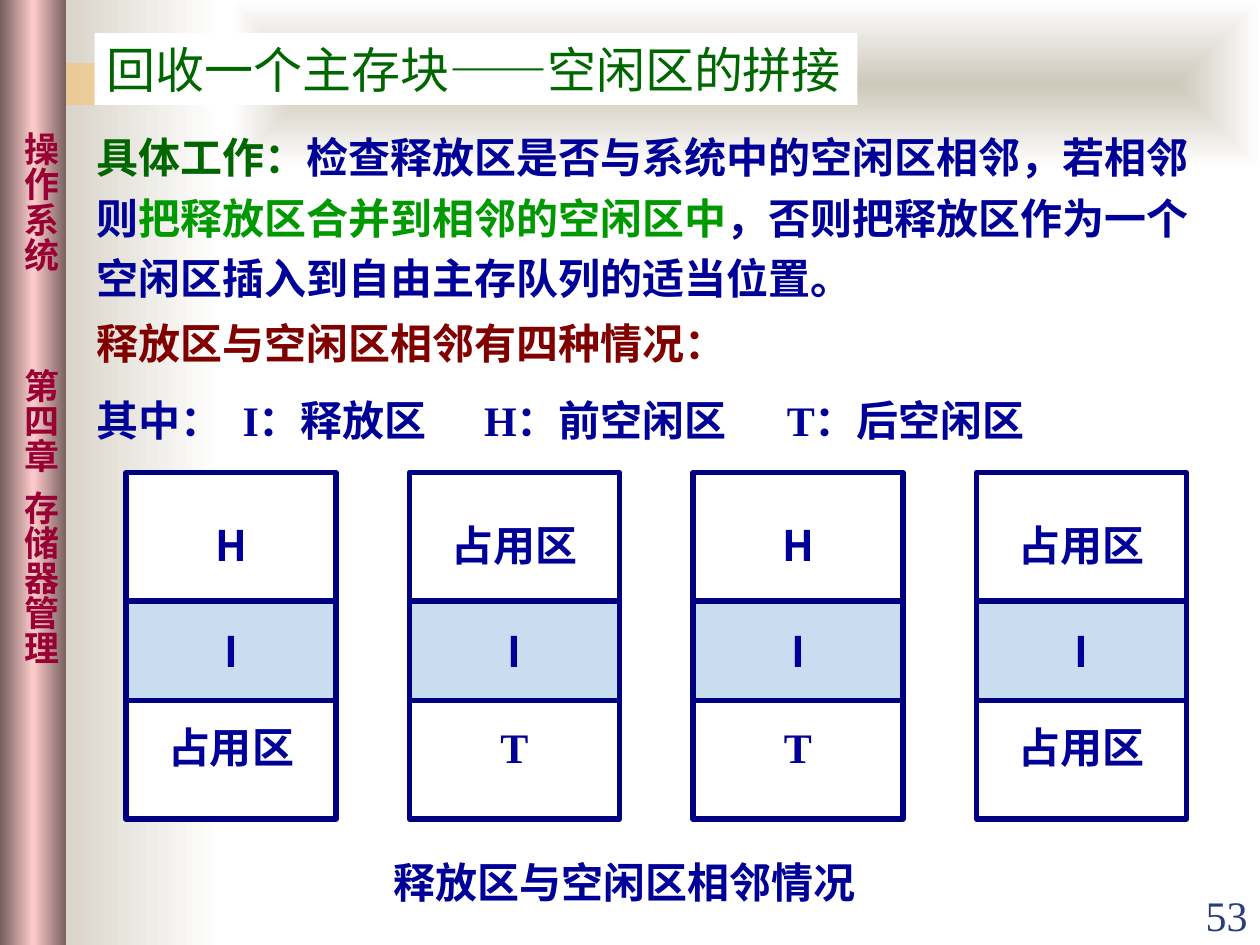
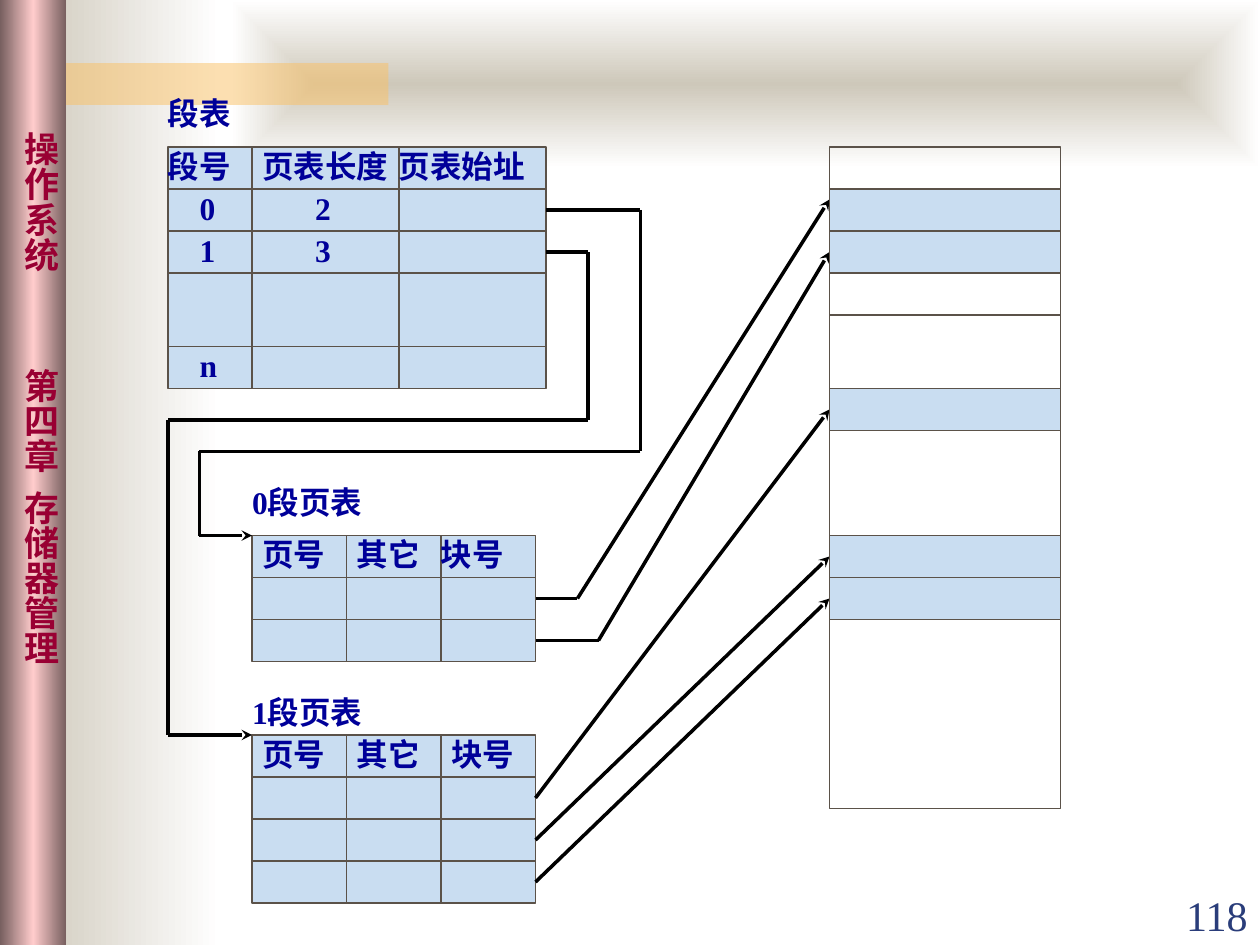
import pptx
import pptx.util
import pptx.oxml
import pptx.dml.color
import pptx.enum.shapes
import pptx.enum.text
from pptx.oxml.ns import nsdecls, qn
from lxml import etree

Pt = pptx.util.Pt
ALIGN = pptx.enum.text.PP_ALIGN
ANCHOR = pptx.enum.text.MSO_ANCHOR
SERIF = "Times New Roman"
SANS = "Noto Sans CJK SC"
COLORS = {
    "white": "FFFFFF", "stone": "CEC8BA", "amber": "FAC164", "mauve": "765E5E",
    "pink": "FFCCCC", "crimson": "990033", "number": "2A3D7A", "heading": "006600",
    "ink": "000099", "green": "009900", "maroon": "800000", "frame": "000080",
    "cell": "C9DDF1", "rule": "5B5249", "black": "000000",
}


def rgb(name):
    return pptx.dml.color.RGBColor.from_string(COLORS[name])


class Deck:
    def __init__(self):
        self.presentation = pptx.Presentation()
        self.presentation.slide_width = Pt(720)
        self.presentation.slide_height = Pt(540)
        self.slide = None

    def new_slide(self, number):
        self.slide = self.presentation.slides.add_slide(self.presentation.slide_layouts[6])
        self.gradient(12, 0, 114, 540, ["stone", "white"])
        self.gradient(132, 0, 588, 96, ["stone", "white"], radial=True)
        bar = self.rectangle(24, 36, 198, 24, "amber")
        color = bar.fill._xPr.find(qn("a:solidFill"))[0]
        etree.SubElement(color, qn("a:alpha"), val="50000")
        self.gradient(0, 0, 38, 540, ["mauve", "pink", "mauve"])
        for top, label in ((75.5, "操作系统"), (210.5, "第四章"), (280.5, "存储器管理")):
            self.text(4, top, 38, 20 * len(label) + 10, [(label, "crimson")], size=20,
                      font=SANS, bold=True, inset=0, anchor=ANCHOR.MIDDLE, vertical=True)
        self.text(648, 504.7, 72, 36, [(number, "number")], align=ALIGN.RIGHT,
                  anchor=ANCHOR.BOTTOM, bold=False)

    def rectangle(self, left, top, width, height, fill=None, line=None, weight=0.75):
        shape = self.slide.shapes.add_shape(
            pptx.enum.shapes.MSO_SHAPE.RECTANGLE, Pt(left), Pt(top), Pt(width), Pt(height))
        shape.shadow.inherit = False
        if fill:
            shape.fill.solid()
            shape.fill.fore_color.rgb = rgb(fill)
        else:
            shape.fill.background()
        if line:
            shape.line.color.rgb = rgb(line)
            shape.line.width = Pt(weight)
        else:
            shape.line.fill.background()
        return shape

    def gradient(self, left, top, width, height, colors, radial=False):
        shape = self.rectangle(left, top, width, height)
        step = 100000 // (len(colors) - 1)
        stops = "".join(f'<a:gs pos="{i * step}"><a:srgbClr val="{COLORS[color]}"/></a:gs>'
                        for i, color in enumerate(colors))
        direction = '<a:lin ang="0" scaled="1"/>'
        if radial:
            direction = ('<a:path path="shape"><a:fillToRect l="50000" t="50000" '
                         'r="50000" b="50000"/></a:path>')
        properties = shape._element.spPr
        properties.replace(properties.find(qn("a:noFill")), pptx.oxml.parse_xml(
            f'<a:gradFill {nsdecls("a")} rotWithShape="1"><a:gsLst>{stops}</a:gsLst>'
            f'{direction}</a:gradFill>'))

    def add_run(self, paragraph, text, color, size=24, font=SERIF, bold=True):
        run = paragraph.add_run()
        run.text = text
        run.font.size = Pt(size)
        run.font.name = font
        run.font.bold = bold
        run.font.color.rgb = rgb(color)
        etree.SubElement(run._r.get_or_add_rPr(), qn("a:ea"), typeface=SANS)

    def text(self, left, top, width, height, runs, size=24, font=SERIF, bold=True,
             align=ALIGN.LEFT, anchor=ANCHOR.TOP, inset=None, spacing=None,
             tabs=(), vertical=False):
        box = self.slide.shapes.add_textbox(Pt(left), Pt(top), Pt(width), Pt(height))
        frame = box.text_frame
        frame.word_wrap = True
        frame.vertical_anchor = anchor
        if inset is not None:
            frame.margin_left = frame.margin_right = Pt(inset)
            frame.margin_top = frame.margin_bottom = Pt(inset)
        if vertical:
            frame._txBody.bodyPr.set("vert", "eaVert")
        paragraph = frame.paragraphs[0]
        paragraph.alignment = align
        if spacing:
            paragraph.line_spacing = spacing
        if tabs:
            stops = etree.SubElement(paragraph._p.get_or_add_pPr(), qn("a:tabLst"))
            for position in tabs:
                etree.SubElement(stops, qn("a:tab"), pos=str(Pt(position)), algn="l")
        for content, color in runs:
            self.add_run(paragraph, content, color, size, font, bold)
        return box

    def label(self, left, top, width, content):
        self.text(left, top, width, 22, [(content, "ink")], size=18, inset=0)

    def block(self, left, top, height, fill, labels, gap=0):
        shape = self.rectangle(left, top, 120, height, fill, "frame", 3)
        frame = shape.text_frame
        frame.word_wrap = False
        frame.vertical_anchor = ANCHOR.MIDDLE
        for index, content in enumerate(labels):
            paragraph = frame.add_paragraph() if index else frame.paragraphs[0]
            paragraph.alignment = ALIGN.CENTER
            if index:
                paragraph.space_before = Pt(gap)
            self.add_run(paragraph, content, "ink", font=SANS if content in "HI" else SERIF)

    def line(self, start, end, color="rule", weight=0.75, arrow=False):
        connector = self.slide.shapes.add_connector(
            pptx.enum.shapes.MSO_CONNECTOR.STRAIGHT, *(Pt(value) for value in start + end))
        connector.line.color.rgb = rgb(color)
        connector.line.width = Pt(weight)
        if arrow:
            etree.SubElement(connector.line._get_or_add_ln(), qn("a:tailEnd"), type="stealth")
        etree.SubElement(connector._element.spPr, qn("a:effectLst"))
        return connector

    def route(self, *points):
        for start, end in zip(points, points[1:]):
            connector = self.line(start, end, "black", 2, arrow=end == points[-1])
        return connector

    def grid(self, left, top, width, height, rows, columns=(), fill=None):
        self.rectangle(left, top, width, height, fill, "rule")
        for y in rows:
            self.line((left, y), (left + width, y))
        for x in columns:
            self.line((x, top), (x, top + height))


def build_merging_slide(deck):
    deck.new_slide("53")
    deck.rectangle(54, 19, 436, 41, "white")
    deck.text(54, 19, 436, 41, [("回收一个主存块——空闲区的拼接", "heading")],
              size=28, bold=False)
    deck.text(48, 66, 654, 111, [
        ("具体工作：", "heading"),
        ("检查释放区是否与系统中的空闲区相邻，若相邻则", "ink"),
        ("把释放区合并到相邻的空闲区中", "green"),
        ("，否则把释放区作为一个空闲区插入到自由主存队列的适当位置。", "ink")], spacing=1.2)
    deck.text(48, 172, 460, 42, [("释放区与空闲区相邻有四种情况：", "maroon")], spacing=1.2)
    cases = (("H", "占用区"), ("占用区", "T"), ("H", "T"), ("占用区", "占用区"))
    for index, neighbours in enumerate(cases):
        left = 72 + 162 * index
        deck.block(left, 270, 198, "white", neighbours, gap=87)
        deck.block(left, 343.5, 57, "cell", ["I"])
    deck.text(218, 480, 307, 42, [("释放区与空闲区相邻情况", "ink")], spacing=1.2)
    deck.text(48, 216, 594, 42, [("其中：\tI：释放区\tH：前空闲区\tT：后空闲区", "ink")],
              spacing=1.2, tabs=(83.5, 221.5, 394.5))


def build_segment_paging_slide(deck):
    deck.new_slide("118")
    deck.grid(96, 84, 216, 138, (108, 132, 156, 198), (144, 228), "cell")
    deck.label(96, 54, 42, "段表")
    for left, heading in ((96, "段号"), (150, "页表长度"), (228, "页表始址")):
        deck.label(left, 84, 78, heading)
    for top, segment, length in ((108, "0", "2"), (132, "1", "3"), (198, "n", "")):
        deck.label(114, top, 18, segment)
        if length:
            deck.label(180, top, 18, length)

    for name, top, row_count, last_left in (("0段页表", 306, 3, 252), ("1段页表", 420, 4, 258)):
        height = 24 * row_count
        deck.grid(144, top, 162, height, range(top + 24, top + height, 24), (198, 252), "cell")
        deck.label(144, 276 if top == 306 else 396, 84, name)
        for left, heading in ((150, "页号"), (204, "其它"), (last_left, "块号")):
            deck.label(left, top, 42, heading)

    deck.grid(474, 84, 132, 378, (108, 132, 156, 180, 222, 246, 306, 330, 354))
    deck.route((312, 144), (336, 144), (336, 240), (96, 240), (96, 420), (144, 420))
    deck.route((312, 120), (366, 120), (366, 258), (114, 258), (114, 306), (144, 306))
    deck.route((306, 342), (330, 342), (474, 114))
    arrows = {
        132: deck.route((306, 366), (342, 366), (474, 144)),
        222: deck.route((306, 456), (474, 234)),
        306: deck.route((306, 480), (474, 318)),
        330: deck.route((306, 504), (474, 342)),
    }
    for top in (108, 132, 222, 306, 330):
        frame = deck.rectangle(474, top, 132, 24, "cell", "rule")
        if top in arrows:
            arrows[top].end_connect(frame, 1)


def main():
    deck = Deck()
    build_merging_slide(deck)
    build_segment_paging_slide(deck)
    deck.presentation.save("out.pptx")


if __name__ == "__main__":
    main()
